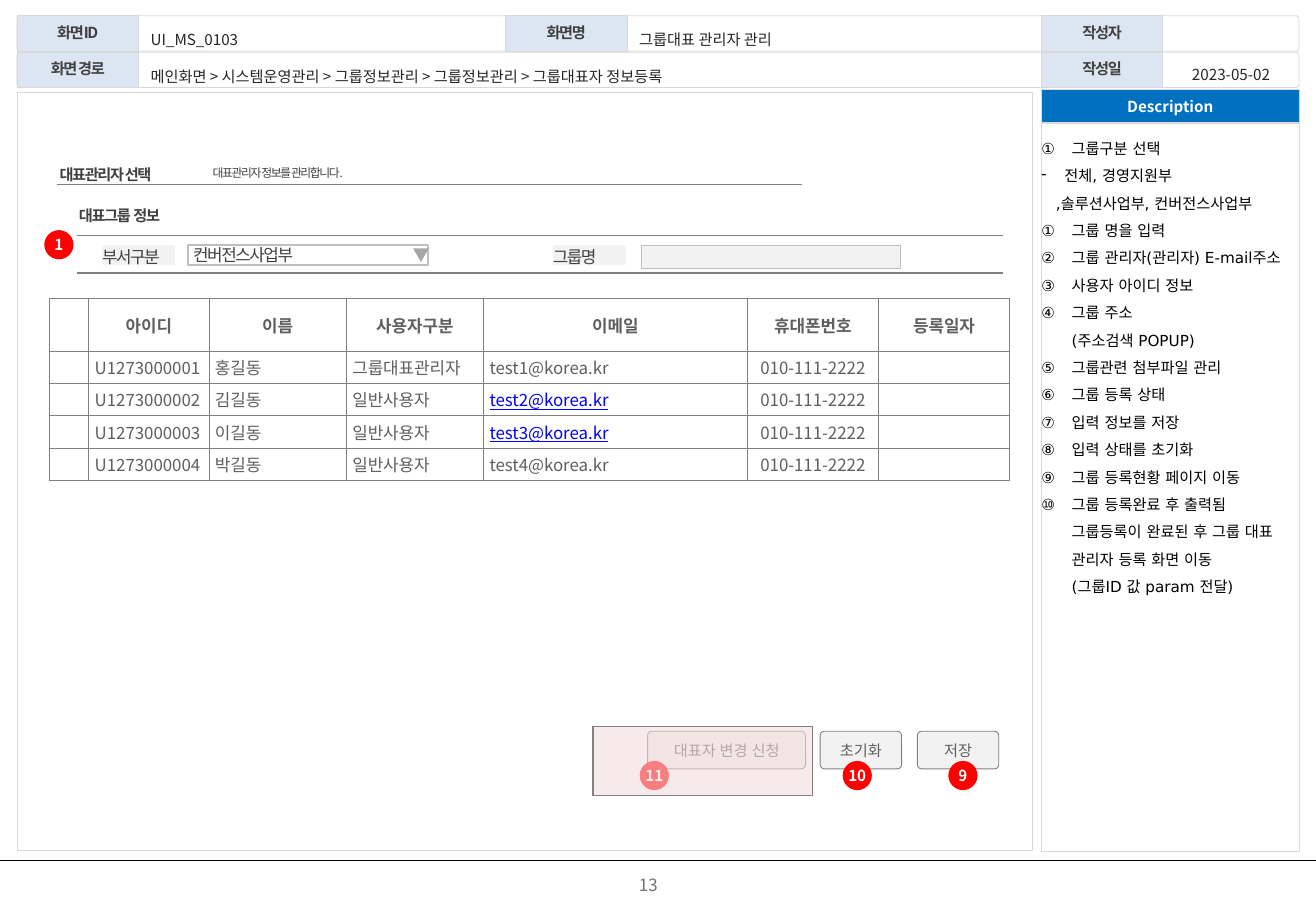
from lxml import etree
from pptx import Presentation
from pptx.dml.color import RGBColor
from pptx.enum.shapes import MSO_CONNECTOR, MSO_SHAPE
from pptx.enum.text import MSO_ANCHOR, PP_ALIGN
from pptx.oxml.ns import qn
from pptx.util import Inches, Pt

RECT, ROUND, OVAL = MSO_SHAPE.RECTANGLE, MSO_SHAPE.ROUNDED_RECTANGLE, MSO_SHAPE.OVAL
LEFT, CENTER, JUSTIFY = PP_ALIGN.LEFT, PP_ALIGN.CENTER, PP_ALIGN.JUSTIFY
MIDDLE = MSO_ANCHOR.MIDDLE
STRAIGHT = MSO_CONNECTOR.STRAIGHT
NOTO, DEJAVU, LATO = "Noto Sans CJK KR", "DejaVu Sans", "Lato"
GRAY, PALE, BORDER, DARK, BODY = "808080", "F2F2F2", "D9D9D9", "404040", "5F5F5F"

LABELS = [("화면ID", 1.4, 1.3), ("작성자", 85.7, 1.3), ("작성일", 85.7, 4.3),
          ("화면명", 41.6, 1.3), ("화면 경로", 1.4, 4.3)]
VALUES = [("그룹대표 관리자 관리", 51.8, 1.3, 33.9),
          ("메인화면 > 시스템운영관리 > 그룹정보관리 > 그룹정보관리 > 그룹대표자 정보등록", 11.6, 4.4, 74),
          ("UI_MS_0103", 11.6, 1.3, 29.9)]
NOTES = [("num", "그룹구분 선택"), ("dash", "전체, 경영지원부"), ("plain", ",솔루션사업부, 컨버전스사업부"),
         ("num", "그룹 명을 입력"), ("num", "그룹 관리자(관리자) E-mail주소"), ("num", "사용자 아이디 정보"),
         ("num", "그룹 주소\n(주소검색 POPUP)"), ("num", "그룹관련 첨부파일 관리"), ("num", "그룹 등록 상태"),
         ("num", "입력 정보를 저장"), ("num", "입력 상태를 초기화"), ("num", "그룹 등록현황 페이지 이동"),
         ("num", "그룹 등록완료 후 출력됨\n그룹등록이 완료된 후 그룹 대표 관리자 등록 화면 이동\n(그룹ID 값 param 전달)")]
BULLETS = {"num": (2.5, -2.5, "a:buAutoNum", {"type": "circleNumDbPlain"}),
           "dash": (1.9, -1.9, "a:buChar", {"char": "-"}),
           "plain": (1.2, 0, "a:buNone", {})}
HEADERS = ["", "아이디", "이름", "사용자구분", "이메일", "휴대폰번호", "등록일자"]
USERS = [("홍길동", "그룹대표관리자"), ("김길동", "일반사용자"), ("이길동", "일반사용자"), ("박길동", "일반사용자")]
LINKED_ROWS = (2, 3)
COLUMNS = [3.2, 9.9, 11.3, 11.3, 21.7, 10.8, 10.8]
ROWS = [4.3] + [2.67] * 4


def grid(n):
    """Turn grid steps of a tenth of an inch into a length."""
    return Inches(n / 10)


def rgb(color):
    """Turn a hex string into a colour."""
    return RGBColor.from_string(color)


def style(p, size, color, font=NOTO, bold=False, align=LEFT, leading=None, tight=False):
    """Set the font and layout of a paragraph."""
    p.alignment = align
    if leading:
        p.line_spacing = leading
    f = p.font
    f.size, f.bold, f.name = Pt(size), bold, font
    f.color.rgb = rgb(color)
    props = p._p.pPr.find(qn("a:defRPr"))
    etree.SubElement(props, qn("a:ea"), typeface=font)
    if tight:
        props.set("spc", "-80")


def write(sp, text, inset=0, wrap=True, **look):
    """Put one styled paragraph into a shape."""
    tf = sp.text_frame
    tf.word_wrap, tf.vertical_anchor = wrap, MIDDLE
    tf.margin_left = grid(inset)
    tf.margin_right = tf.margin_top = tf.margin_bottom = 0
    tf.paragraphs[0].text = text
    style(tf.paragraphs[0], **look)


def add_text(s, area, text, **look):
    """Add a text box."""
    write(s.shapes.add_textbox(*map(grid, area)), text, **look)


def add_box(s, kind, area, fill=None, line=None, width=0.5, corner=0, alpha=None):
    """Add a flat shape with optional fill and outline."""
    sp = s.shapes.add_shape(kind, *map(grid, area))
    sp.shadow.inherit = False
    if kind == ROUND:
        sp.adjustments[0] = corner
    if fill:
        sp.fill.solid()
        sp.fill.fore_color.rgb = rgb(fill)
        if alpha:
            color = next(sp._element.spPr.iter(qn("a:srgbClr")))
            etree.SubElement(color, qn("a:alpha"), val=str(alpha * 1000))
    else:
        sp.fill.background()
    if line:
        sp.line.color.rgb = rgb(line)
        sp.line.width = Pt(width)
    else:
        sp.line.fill.background()
    return sp


def add_rule(s, x1, x2, y, color=GRAY, width=1):
    """Add a horizontal line."""
    c = s.shapes.add_connector(STRAIGHT, grid(x1), grid(y), grid(x2), grid(y))
    c.line.color.rgb = rgb(color)
    c.line.width = Pt(width)
    etree.SubElement(c._element.spPr, qn("a:effectLst"))


def add_badge(s, x, y, number):
    """Add a red numbered circle."""
    sp = add_box(s, OVAL, (x, y, 2.3, 2.3), "FF0000", "FF0000", 0.75)
    write(sp, number, wrap=False, size=9, color="FFFFFF", bold=True, align=CENTER)


def add_button(s, x, w, text):
    """Add a rounded button on the button row."""
    sp = add_box(s, ROUND, (x, 60.2, w, 3.1), PALE, GRAY, corner=0.112)
    write(sp, text, size=9, color=BODY, font=LATO, align=CENTER)


def add_field_label(s, x, text):
    """Add a shaded label of the search row."""
    sp = add_box(s, RECT, (x, 20.2, 6, 1.6), PALE)
    write(sp, text, wrap=False, size=10, color=DARK, font=DEJAVU, leading=1.2, tight=True)


def add_notes(s):
    """Add the numbered description list."""
    tf = s.shapes.add_textbox(*map(grid, (85.7, 10.7, 21.3, 59))).text_frame
    tf.word_wrap = True
    tf.margin_left = tf.margin_right = tf.margin_top = tf.margin_bottom = 0
    for i, (kind, text) in enumerate(NOTES):
        p = tf.add_paragraph() if i else tf.paragraphs[0]
        p.text = text
        margin, indent, tag, attrs = BULLETS[kind]
        props = p._p.get_or_add_pPr()
        props.set("marL", str(grid(margin)))
        props.set("indent", str(grid(indent)))
        etree.SubElement(props, qn(tag), **attrs)
        style(p, 9, "000000", DEJAVU, leading=1.5)


def fill_cell(cell, text, color, bold, align, underline):
    """Write and outline one table cell."""
    cell.margin_left = cell.margin_right = grid(0.5)
    cell.margin_top = cell.margin_bottom = grid(0.3)
    cell.vertical_anchor = MIDDLE
    p = cell.text_frame.paragraphs[0]
    p.text = text
    style(p, 10, color, bold=bold, align=align)
    p.font.underline = underline
    props = cell._tc.get_or_add_tcPr()
    for side in ("a:lnL", "a:lnR", "a:lnT", "a:lnB"):
        ln = etree.SubElement(props, qn(side), w=str(Pt(0.5)))
        etree.SubElement(etree.SubElement(ln, qn("a:solidFill")), qn("a:srgbClr"), val=GRAY)
    cell.fill.background()


def add_user_table(s):
    """Add the table of group administrators."""
    rows = [HEADERS] + [["", f"U127300000{i}", name, role, f"test{i}@korea.kr", "010-111-2222", ""]
                        for i, (name, role) in enumerate(USERS, 1)]
    area = (4.1, 24.6, sum(COLUMNS), sum(ROWS))
    table = s.shapes.add_table(len(ROWS), len(COLUMNS), *map(grid, area)).table
    table.first_row = table.horz_banding = False
    for column, w in zip(table.columns, COLUMNS):
        column.width = grid(w)
    for i, (row, h) in enumerate(zip(table.rows, ROWS)):
        row.height = grid(h)
        for j, text in enumerate(rows[i]):
            link = i in LINKED_ROWS and j == 4
            align = CENTER if i == 0 or j == 5 else LEFT
            fill_cell(table.cell(i, j), text, "0000FF" if link else BODY, i == 0, align, link)


def add_frame(s):
    """Add the header band, panels and page footer."""
    add_text(s, (40.7, 71.3, 25.3, 3.1), "13", size=10, color="717171", align=CENTER)
    add_rule(s, 0, 108.3, 70.8, "000000", 0.5)
    for y in (1.3, 4.3):
        add_box(s, ROUND, (1.4, y, 105.5, 2.9), line=BORDER, corner=0.081)
    for text, x, y in LABELS:
        sp = add_box(s, ROUND, (x, y, 10, 2.9), "DCE6F2", BORDER)
        write(sp, text, size=9, color=DARK, bold=True, align=CENTER, leading=0.9, tight=True)
    add_box(s, RECT, (1.4, 7.6, 83.6, 62.4), line=BORDER)
    add_box(s, RECT, (85.7, 10.2, 21.2, 59.9), line=BORDER)
    sp = add_box(s, RECT, (85.7, 7.4, 21.2, 2.7), "0070C0", BORDER)
    write(sp, "Description", wrap=False, size=9, color="FFFFFF", bold=True, align=CENTER)
    for text, x, y, w in VALUES:
        add_text(s, (x, y, w, 3.1), text, inset=0.8, size=9, color="262626", align=JUSTIFY, leading=1.5)
    add_text(s, (95.9, 4.4, 10.8, 2.7), "2023-05-02", size=9, color="262626", align=CENTER, leading=1.5)


def add_search(s):
    """Add the headings and the search row."""
    tight = {"wrap": False, "color": DARK, "leading": 1.2, "tight": True}
    add_text(s, (4.9, 13.2, 10, 2), "대표관리자 선택", size=9, bold=True, **tight)
    add_text(s, (17.5, 13.1, 26.9, 2.1), "대표관리자 정보를 관리합니다.", size=7, **tight)
    add_rule(s, 4.7, 66, 15.2, width=0.5)
    add_text(s, (6.5, 16.8, 7.9, 1.6), "대표그룹 정보", size=9, bold=True, font=DEJAVU, **tight)
    for y in (19.4, 22.5):
        add_rule(s, 6.3, 82.5, y)
    add_field_label(s, 8.4, "부서구분")
    add_field_label(s, 45.5, "그룹명")
    add_box(s, ROUND, (52.8, 20.2, 21.3, 1.9), PALE, "BFBFBF", 1)
    sp = add_box(s, ROUND, (15.5, 20.2, 19.7, 1.6), line="BFBFBF", width=1)
    write(sp, "컨버전스사업부", inset=0.4, size=10, color=DARK, font=DEJAVU, tight=True)
    sp = add_box(s, ROUND, (33.9, 20.2, 1.5, 1.6))
    write(sp, "▼", size=10, color="A6A6A6", bold=True, align=CENTER, tight=True)
    add_badge(s, 3.7, 19, "1")


def add_actions(s):
    """Add the buttons, their badges and the disabled overlay."""
    for x, w, text in ((75.5, 6.7, "저장"), (67.5, 6.7, "초기화"), (53.3, 13, "대표자 변경 신청")):
        add_button(s, x, w, text)
    for x, number in ((78.1, "9"), (69.4, "10"), (52.7, "11")):
        add_badge(s, x, 62.7, number)
    add_box(s, RECT, (48.8, 59.8, 18.1, 5.7), "F2DCDB", GRAY, 0, alpha=58)


def main():
    """Build and save the slide."""
    prs = Presentation()
    prs.slide_width, prs.slide_height = grid(108.3), grid(75)
    s = prs.slides.add_slide(prs.slide_layouts[6])
    add_frame(s)
    add_search(s)
    add_notes(s)
    add_actions(s)
    add_user_table(s)
    prs.save("out.pptx")


if __name__ == "__main__":
    main()
